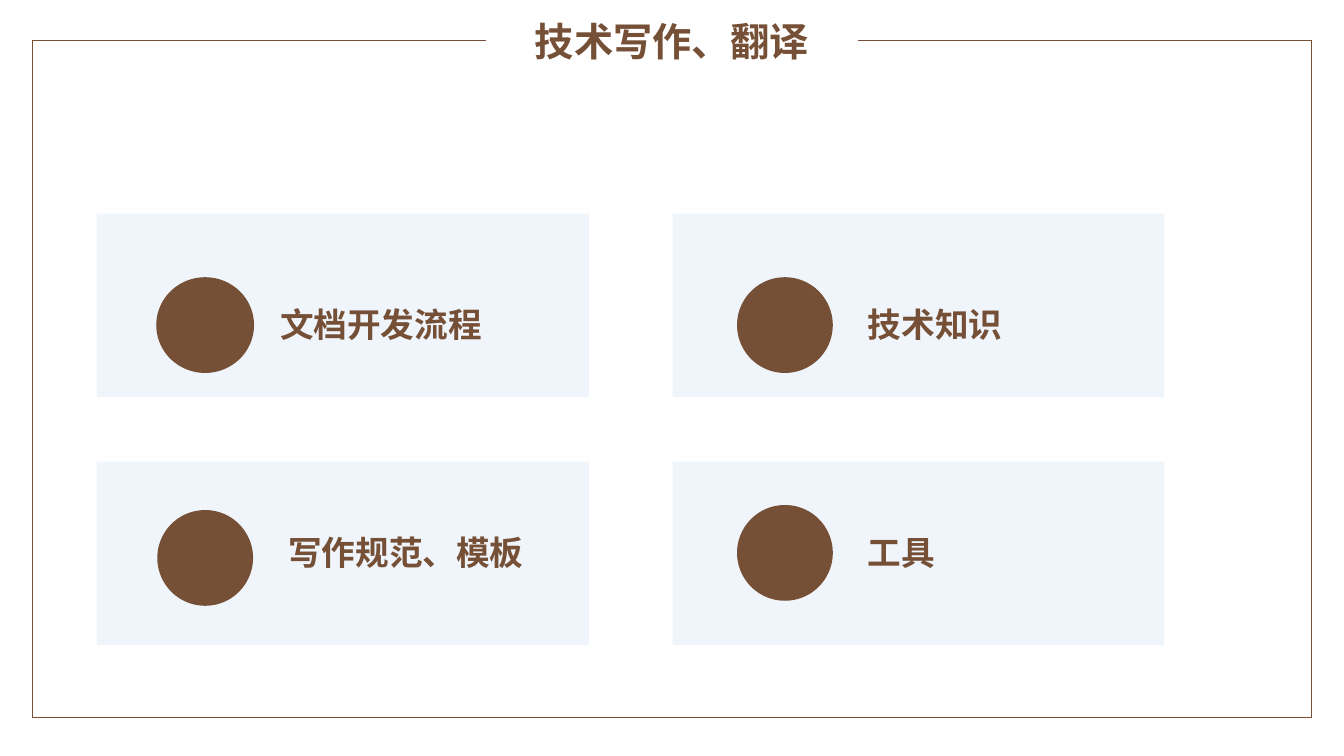
from pptx import Presentation
from pptx.util import Inches, Pt
from pptx.dml.color import RGBColor as RGB
from pptx.enum.shapes import MSO_SHAPE as Shape, MSO_CONNECTOR as Line
from pptx.enum.text import PP_ALIGN as Align, MSO_ANCHOR as Anchor, MSO_AUTO_SIZE as Fit
from pptx.oxml.ns import qn
from lxml.etree import SubElement

TITLE = "技术写作、翻译"
# label, label left, label width, circle left, circle top, circle width
CARDS = [
    ("文档开发流程", 2.68, 2.44, 1.55, 2.75, 0.97),
    ("技术知识", 8.51, 1.93, 7.31, 2.75, 0.95),
    ("写作规范、模板", 2.76, 2.95, 1.56, 5.06, 0.95),
    ("工具", 8.51, 1.54, 7.31, 5.01, 0.95),
]
COLORS = {"brown": "765036", "pale": "EFF5FB"}
FONT = "Noto Sans CJK SC"
WIDE, HIGH = 13.33, 7.5
COLS, ROWS = (0.96, 6.67), (2.12, 4.58)
CARD = (4.88, 1.82)
DROP = 0.85
LEFT, RIGHT, TOP, BASE = 0.32, 13.01, 0.4, 7.12
GAP = (4.82, 8.51)
FRAME = [
    (RIGHT, TOP, RIGHT, BASE),
    (RIGHT, BASE, LEFT, BASE),
    (LEFT, TOP, LEFT, BASE),
    (GAP[0], TOP, LEFT, TOP),
    (RIGHT, TOP, GAP[1], TOP),
]


def color(name):
    return RGB.from_string(COLORS[name])


def block(slide, kind, box, fill):
    shape = slide.shapes.add_shape(kind, *map(Inches, box))
    shape.shadow.inherit = False
    shape.fill.solid()
    shape.fill.fore_color.rgb = color(fill)
    shape.line.fill.background()


def write(shape, text, size, align, wrap):
    frame = shape.text_frame
    frame.text = text
    frame.word_wrap = wrap
    frame.auto_size = Fit.NONE
    frame.vertical_anchor = Anchor.TOP
    para = frame.paragraphs[0]
    para.alignment = align
    para.line_spacing = 1.0
    para.space_before = Pt(0)
    font = para.runs[0].font
    font.name, font.size, font.bold = FONT, Pt(size), True
    font.color.rgb = color("brown")
    SubElement(para.runs[0]._r.get_or_add_rPr(), qn("a:ea"), typeface=FONT)


def edge(slide, ends):
    line = slide.shapes.add_connector(Line.STRAIGHT, *map(Inches, ends))
    line.line.color.rgb = color("brown")
    line.line.width = Pt(1)
    SubElement(line._element.spPr, qn("a:effectLst"))


def main():
    deck = Presentation()
    deck.slide_width, deck.slide_height = Inches(WIDE), Inches(HIGH)
    slide = deck.slides.add_slide(deck.slide_layouts[5])

    title = slide.shapes.title
    title.left, title.top, title.width, title.height = map(Inches, (5.19, 0.12, 2.95, 0.57))
    write(title, TITLE, 28, Align.CENTER, False)

    for ends in FRAME:
        edge(slide, ends)

    for i, (text, left, width, x, y, size) in enumerate(CARDS):
        row, col = divmod(i, len(COLS))
        block(slide, Shape.RECTANGLE, (COLS[col], ROWS[row], *CARD), "pale")
        block(slide, Shape.OVAL, (x, y, size, 0.95), "brown")
        top = 2.97 if row == 0 else 5.23
        label = slide.shapes.add_textbox(*map(Inches, (left, top, width, 0.5)))
        write(label, text, 24, Align.LEFT, True)

    deck.save("out.pptx")


if __name__ == "__main__":
    main()
